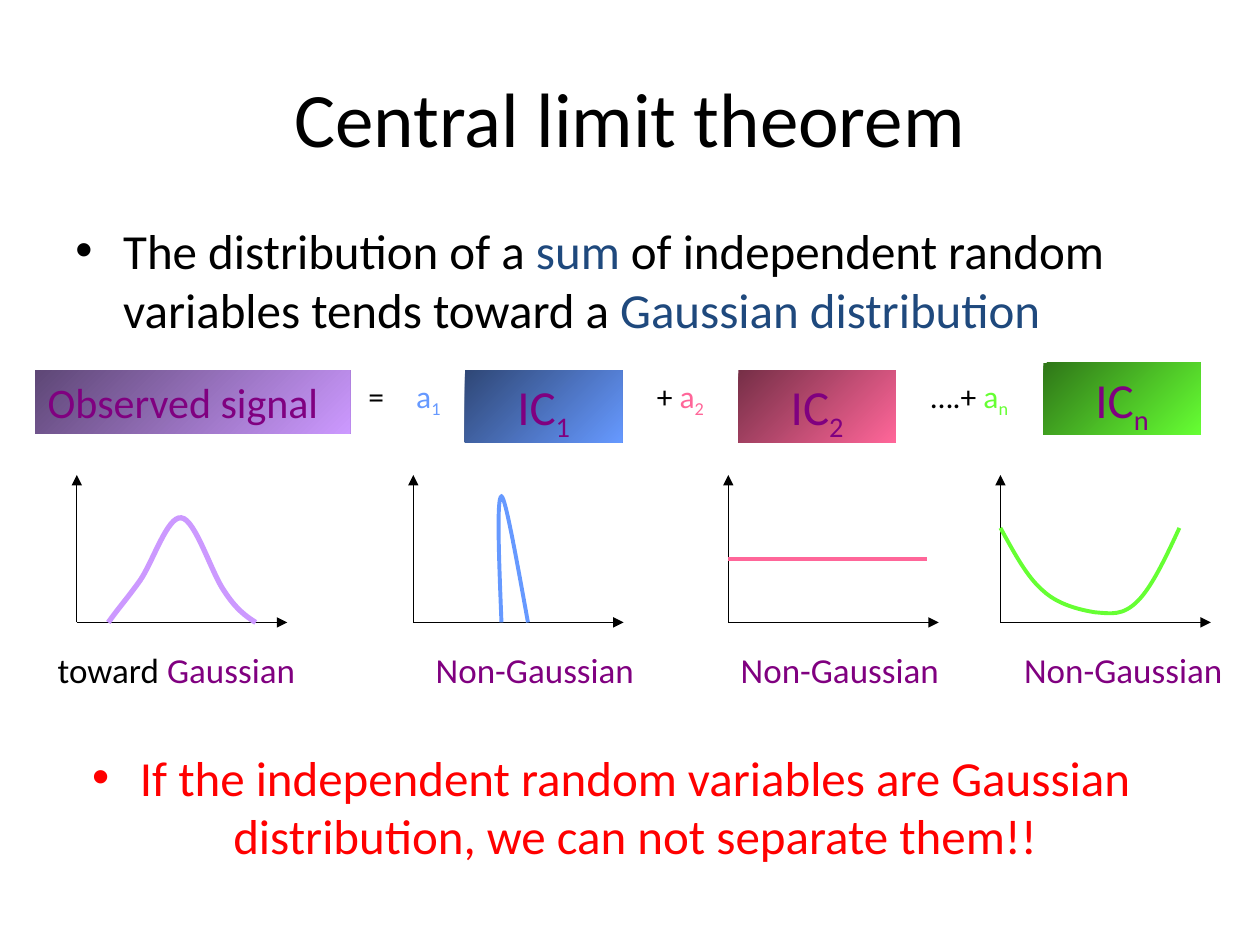
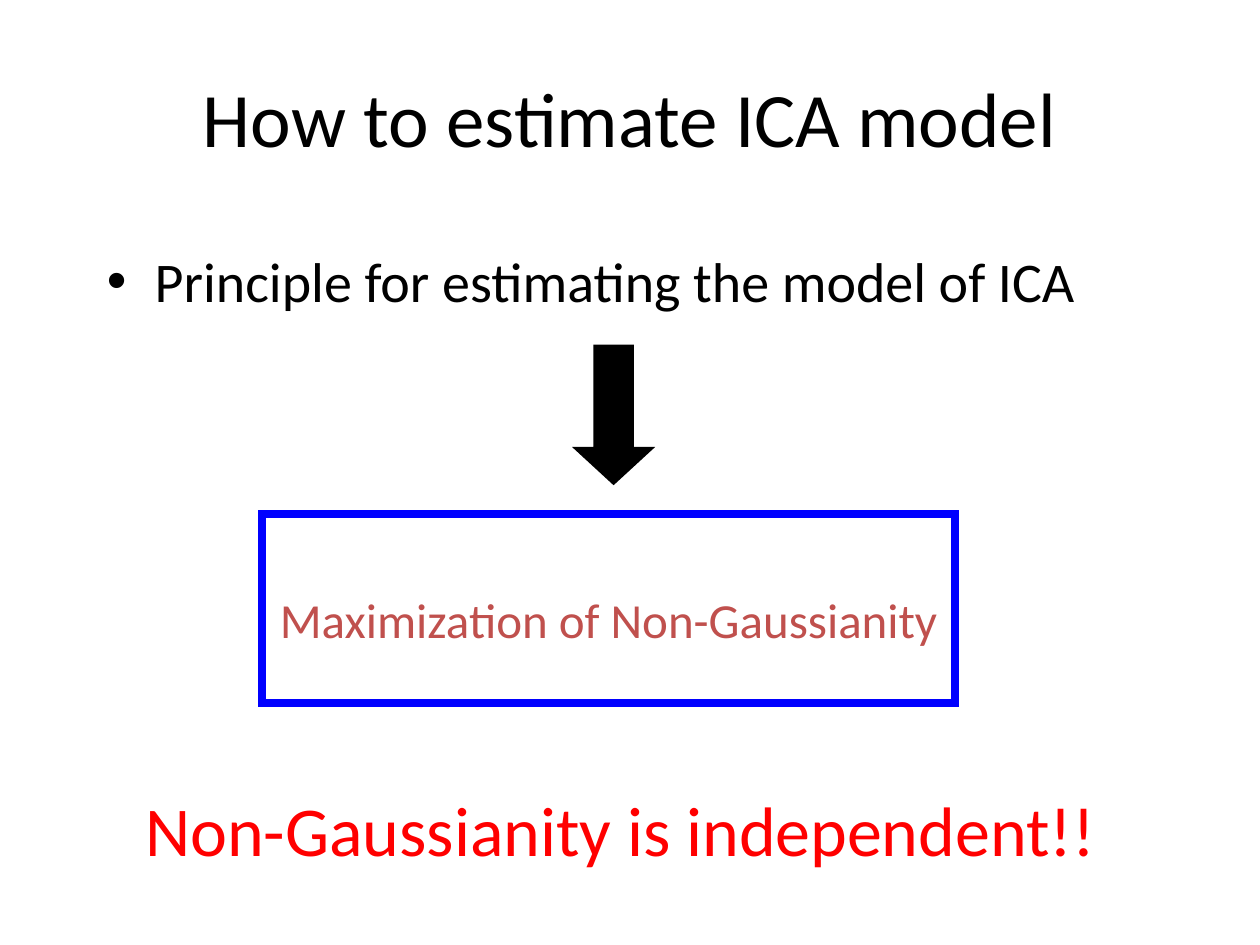
import pptx
import pptx.util
import pptx.dml.color
import pptx.enum.shapes
import pptx.enum.text
import pptx.oxml
import pptx.oxml.ns
from pptx.util import Inches, Pt

FONT = "Calibri"
COLORS = {
    "black": "000000", "navy": "1F497D", "purple": "800080", "red": "FF0000",
    "blue": "0000FF", "brick": "C0504D",
    "violet": "CC99FF", "sky": "6699FF", "pink": "FF6699", "green": "66FF33",
    "violet dark": "5E4776", "sky dark": "2F4776",
    "pink dark": "762F47", "green dark": "2F7618",
}
SHAPE = pptx.enum.shapes.MSO_SHAPE
LEFT = pptx.enum.text.PP_ALIGN.LEFT
CENTER = pptx.enum.text.PP_ALIGN.CENTER
TOP = pptx.enum.text.MSO_ANCHOR.TOP
MIDDLE = pptx.enum.text.MSO_ANCHOR.MIDDLE

# Runs are (text, colour), with "sub" added for a subscript.
TITLES = ["Central limit theorem", "How to estimate ICA model"]
THEOREM = [
    ("The distribution of a ", "black"), ("sum", "navy"),
    (" of independent random variables tends toward a ", "black"),
    ("Gaussian distribution", "navy"),
]
WARNING = [("If the independent random variables are Gaussian distribution, "
            "we can not separate them!!", "red")]
PRINCIPLE = [("Principle for estimating the model of ICA", "black")]
GOAL = [("Maximization of Non-Gaussianity", "brick")]
CONCLUSION = [("Non-Gaussianity is independent!!", "red")]

# Box, colour, runs, size, alignment
SIGNALS = [
    ((0.28, 2.94, 2.5, 0.5), "violet", [("Observed signal", "purple")], 24, LEFT),
] + [
    ((x, y, 1.25, 0.57), color, [("IC", "purple"), (index, "purple", "sub")], 28, CENTER)
    for x, y, color, index in [
        (3.69, 2.94, "sky", "1"), (5.86, 2.94, "pink", "2"), (8.28, 2.88, "green", "n")]
]
# Left, width, runs
TERMS = [
    (2.61, 0.75, [("=", "black")]),
    (2.94, 0.92, [("a", "sky"), ("1", "sky", "sub")]),
    (4.94, 0.92, [("+ ", "black"), ("a", "pink"), ("2", "pink", "sub")]),
    (7.03, 1.33, [("….+ ", "black"), ("a", "green"), ("n", "green", "sub")]),
]
NON_GAUSSIAN = [("Non-Gaussian", "purple")]
# Each curve is a start point followed by Bezier triples; two points make a line.
PLOTS = [
    {"axis": 0.61, "color": "violet", "weight": 3, "label_x": 0.36, "label_w": 2.25,
     "label": [("toward ", "black"), ("Gaussian", "purple")],
     "curve": [(0.86, 4.94), (0.93, 4.84), (1.01, 4.75), (1.11, 4.61),
               (1.21, 4.47), (1.33, 4.09), (1.44, 4.11),
               (1.55, 4.12), (1.68, 4.55), (1.78, 4.69),
               (1.87, 4.83), (1.95, 4.89), (2.03, 4.94)]},
    {"axis": 3.28, "color": "sky", "weight": 2.25, "label_x": 3.36, "label_w": 1.92,
     "label": NON_GAUSSIAN,
     "curve": [(3.98, 4.94), (3.96, 4.44), (3.94, 3.94), (3.98, 3.94),
               (4.01, 3.94), (4.1, 4.44), (4.19, 4.94)]},
    {"axis": 5.78, "color": "pink", "weight": 2.25, "label_x": 5.78, "label_w": 1.92,
     "label": NON_GAUSSIAN, "curve": [(5.78, 4.44), (7.36, 4.44)]},
    {"axis": 7.94, "color": "green", "weight": 2.25, "label_x": 8.03, "label_w": 1.83,
     "label": NON_GAUSSIAN,
     "curve": [(7.94, 4.19), (8.05, 4.39), (8.15, 4.58), (8.28, 4.69),
               (8.4, 4.8), (8.57, 4.84), (8.69, 4.86),
               (8.82, 4.87), (8.91, 4.89), (9.03, 4.77),
               (9.14, 4.66), (9.25, 4.43), (9.36, 4.19)]},
]
AXIS_BASE, AXIS_HEIGHT, AXIS_WIDTH = 4.94, 1.17, 1.67
BULLET_INDENT = 0.38


def rgb(name):
    return pptx.dml.color.RGBColor.from_string(COLORS[name])


def add_xml(parent, xml):
    element = pptx.oxml.parse_xml(xml.replace("/>", f" {pptx.oxml.ns.nsdecls('a')}/>"))
    parent.append(element)
    return element


def write(sp, runs, size, align=LEFT, anchor=TOP, bullet=False):
    tf = sp.text_frame
    tf.word_wrap = True
    tf.vertical_anchor = anchor
    p = tf.paragraphs[0]
    p.alignment = align
    if bullet:
        pPr = p._p.get_or_add_pPr()
        pPr.set("marL", str(Inches(BULLET_INDENT)))
        pPr.set("indent", str(-Inches(BULLET_INDENT)))
        add_xml(pPr, '<a:buFont typeface="Arial"/>')
        add_xml(pPr, '<a:buChar char="•"/>')
    for text, color, *sub in runs:
        r = p.add_run()
        r.text = text
        r.font.name = FONT
        r.font.size = Pt(size)
        r.font.color.rgb = rgb(color)
        if sub:
            r.font._element.set("baseline", "-25000")


def add_text(slide, box, runs, size, **style):
    write(slide.shapes.add_textbox(*map(Inches, box)), runs, size, **style)


def set_outline(sp, color, weight):
    sp.line.color.rgb = rgb(color)
    sp.line.width = Pt(weight)
    ln = sp._element.spPr.find(pptx.oxml.ns.qn("a:ln"))
    add_xml(ln, '<a:miter lim="800000"/>')
    return ln


def add_shape(slide, kind, box):
    sp = slide.shapes.add_shape(kind, *map(Inches, box))
    sp.shadow.inherit = False
    sp.fill.background()
    sp.line.fill.background()
    return sp


def add_line(slide, start, end, color, weight, arrow=False):
    line = slide.shapes.add_connector(
        pptx.enum.shapes.MSO_CONNECTOR.STRAIGHT, *map(Inches, start + end))
    ln = set_outline(line, color, weight)
    if arrow:
        add_xml(ln, '<a:tailEnd type="triangle"/>')
    add_xml(line._element.spPr, "<a:effectLst/>")


def add_curve(slide, curve, color, weight):
    """Draw the points as a freeform, then join each three segments into a Bezier."""
    points = [tuple(map(Inches, point)) for point in curve]
    builder = slide.shapes.build_freeform(*points[0])
    builder.add_line_segments(points[1:], close=False)
    sp = builder.convert_to_shape()
    sp.shadow.inherit = False
    sp.fill.background()
    set_outline(sp, color, weight)
    outline = next(sp._element.iter(pptx.oxml.ns.qn("a:path")))
    segments = outline.findall(pptx.oxml.ns.qn("a:lnTo"))
    for i in range(0, len(segments), 3):
        bezier = add_xml(outline, "<a:cubicBezTo/>")
        for segment in segments[i:i + 3]:
            bezier.append(segment[0])
            outline.remove(segment)


def add_signal(slide, box, color, runs, size, align):
    sp = add_shape(slide, SHAPE.RECTANGLE, box)
    sp.fill.gradient()
    sp.fill.gradient_angle = 315
    for stop, name, position in zip(sp.fill.gradient_stops, (color + " dark", color), (0, 1)):
        stop.color.rgb = rgb(name)
        stop.position = position
    write(sp, runs, size, align=align)


def add_plot(slide, plot):
    left, curve = plot["axis"], plot["curve"]
    for end in ((left, AXIS_BASE - AXIS_HEIGHT), (left + AXIS_WIDTH, AXIS_BASE)):
        add_line(slide, (left, AXIS_BASE), end, "black", 0.75, arrow=True)
    if len(curve) == 2:
        add_line(slide, *curve, plot["color"], plot["weight"])
    else:
        add_curve(slide, curve, plot["color"], plot["weight"])
    add_text(slide, (plot["label_x"], 5.1, plot["label_w"], 0.43), plot["label"], 20)


def add_slide(prs, title):
    slide = prs.slides.add_slide(prs.slide_layouts[5])
    sp = slide.shapes.title
    sp.left, sp.top, sp.width, sp.height = map(Inches, (0.5, 0.3, 9, 1.25))
    write(sp, [(title, "black")], 44, align=CENTER, anchor=MIDDLE)
    return slide


def build_theorem(prs):
    slide = add_slide(prs, TITLES[0])
    add_text(slide, (0.5, 1.7, 9, 1.13), THEOREM, 28, bullet=True)
    for signal in SIGNALS:
        add_signal(slide, *signal)
    for left, width, runs in TERMS:
        add_text(slide, (left, 2.94, width, 0.4), runs, 18, align=CENTER)
    for plot in PLOTS:
        add_plot(slide, plot)
    add_text(slide, (0.35, 5.88, 9, 1.13), WARNING, 28, align=CENTER, bullet=True)


def build_estimation(prs):
    slide = add_slide(prs, TITLES[1])
    add_text(slide, (0.75, 1.91, 8.5, 4.5), PRINCIPLE, 32, bullet=True)
    goal = add_shape(slide, SHAPE.RECTANGLE, (2.08, 4.08, 5.5, 1.5))
    set_outline(goal, "blue", 4.5)
    goal.text_frame.margin_top = Inches(0.22)
    write(goal, GOAL, 28, align=CENTER, anchor=MIDDLE)
    arrow = add_shape(slide, SHAPE.DOWN_ARROW, (4.58, 2.75, 0.58, 1.08))
    arrow.adjustments[1] = 0.46
    arrow.fill.solid()
    arrow.fill.fore_color.rgb = rgb("black")
    set_outline(arrow, "black", 2.25)
    add_text(slide, (0.91, 6.19, 8.03, 0.77), CONCLUSION, 40, align=CENTER)


def main():
    prs = pptx.Presentation()
    prs.slide_width, prs.slide_height = Inches(10), Inches(7.5)
    build_theorem(prs)
    build_estimation(prs)
    prs.save("out.pptx")


if __name__ == "__main__":
    main()
